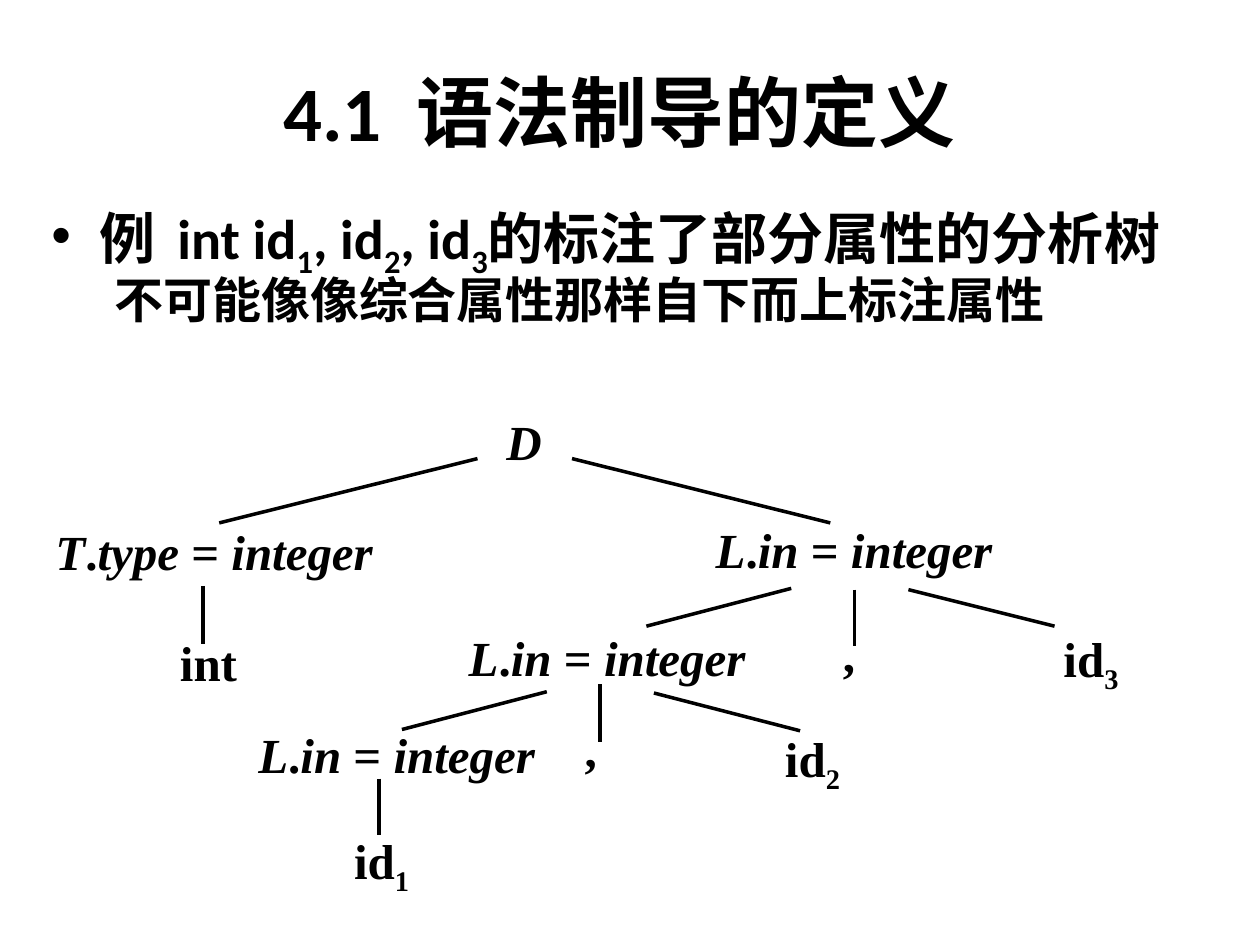
"""Build the slide with the annotated parse tree of int id1, id2, id3."""
from dataclasses import dataclass

from lxml.etree import SubElement
from pptx import Presentation
from pptx.dml.color import RGBColor
from pptx.enum.shapes import MSO_CONNECTOR
from pptx.enum.text import MSO_ANCHOR, PP_ALIGN
from pptx.oxml.ns import qn
from pptx.util import Inches, Pt

COLORS = {"ink": "000000"}
HEAD_FONT = "Calibri"
TREE_FONT = "Times New Roman"
TREE_INSETS = (0.02, 0.01)


@dataclass(frozen=True)
class Run:
    """A piece of text with its slant and position."""
    text: str
    italic: bool = False
    sub: bool = False


@dataclass(frozen=True)
class Node:
    """A labelled node of the parse tree."""
    runs: tuple[Run, ...]
    left: float
    top: float
    width: float
    height: float = 0.43
    align: PP_ALIGN = PP_ALIGN.JUSTIFY


@dataclass(frozen=True)
class Edge:
    """A straight branch between two points."""
    x1: float
    y1: float
    x2: float
    y2: float


def attribute(symbol: str, name: str) -> tuple[Run, ...]:
    """Return the runs of a symbol whose attribute is integer."""
    return (Run(symbol, italic=True), Run("."), Run(f"{name} ", italic=True),
            Run("= "), Run("integer", italic=True))


def identifier(index: int) -> tuple[Run, ...]:
    """Return the runs of an identifier with its subscript."""
    return Run("id"), Run(str(index), sub=True)


L_IN = attribute("L", "in")
COMMA = (Run(","),)

NODES = (
    Node((Run("D", italic=True),), 4, 3.26, 0.43),
    Node(attribute("T", "type"), 0.42, 4.13, 2.61),
    Node((Run("int"),), 0.98, 5.01, 1.35, align=PP_ALIGN.CENTER),
    Node(L_IN, 5.66, 4.11, 2.61),
    Node(L_IN, 3.7, 4.97, 2.61),
    Node(L_IN, 2.03, 5.74, 2.61),
    Node(COMMA, 6.67, 4.94, 0.43),
    Node(COMMA, 4.62, 5.69, 0.43),
    Node(identifier(3), 8.42, 4.98, 0.99),
    Node(identifier(2), 6.21, 5.77, 0.99),
    Node(identifier(1), 2.79, 6.58, 0.99),
)

EDGES = (
    Edge(3.79, 3.64, 1.74, 4.15),
    Edge(4.54, 3.64, 6.59, 4.15),
    Edge(1.61, 4.65, 1.61, 5.11),
    Edge(6.28, 4.67, 5.13, 4.97),
    Edge(6.78, 4.68, 6.78, 5.13),
    Edge(7.21, 4.68, 8.37, 4.97),
    Edge(4.34, 5.49, 3.19, 5.79),
    Edge(4.76, 5.43, 4.76, 5.89),
    Edge(5.19, 5.5, 6.35, 5.8),
    Edge(3.01, 6.18, 3.01, 6.63),
)


def add_run(p, text: str, *, size: float, font: str,
            italic: bool = False, sub: bool = False) -> None:
    """Append a bold run to a paragraph."""
    r = p.add_run()
    r.text = text
    r.font.size = Pt(size)
    r.font.name = font
    r.font.bold = True
    r.font.italic = italic
    r.font.color.rgb = RGBColor.from_string(COLORS["ink"])
    if sub:
        r._r.get_or_add_rPr().set("baseline", "-25000")


def fill_paragraph(p, runs: tuple[Run, ...], size: float, font: str) -> None:
    """Write all runs into a paragraph."""
    for run in runs:
        add_run(p, run.text, size=size, font=font,
                italic=run.italic, sub=run.sub)


def add_box(s, left: float, top: float, width: float, height: float,
            insets: tuple[float, float] = (0.1, 0.05)):
    """Add a wrapping text box and return its text frame."""
    sp = s.shapes.add_textbox(Inches(left), Inches(top),
                              Inches(width), Inches(height))
    tf = sp.text_frame
    tf.word_wrap = True
    tf.margin_left = tf.margin_right = Inches(insets[0])
    tf.margin_top = tf.margin_bottom = Inches(insets[1])
    return tf


def set_indent(p, left: float, first: float, bullet: str = "") -> None:
    """Give a paragraph a hanging indent and an optional bullet."""
    pPr = p._p.get_or_add_pPr()
    pPr.set("marL", str(Inches(left)))
    pPr.set("indent", str(Inches(first)))
    if bullet:
        SubElement(pPr, qn("a:buFont"), typeface="Arial")
        SubElement(pPr, qn("a:buChar"), char=bullet)


def add_title(s) -> None:
    """Add the centred slide title."""
    tf = add_box(s, 0.67, 0.25, 8.5, 1.25)
    tf.vertical_anchor = MSO_ANCHOR.MIDDLE
    p = tf.paragraphs[0]
    p.alignment = PP_ALIGN.CENTER
    add_run(p, "4.1  语法制导的定义", size=44, font=HEAD_FONT)


def add_body(s) -> None:
    """Add the bulleted example and the remark below it."""
    tf = add_box(s, 0.31, 1.57, 9.37, 5.51)
    p = tf.paragraphs[0]
    p.line_spacing = 0.9
    set_indent(p, 0.38, -0.38, "•")
    runs = (Run("例\tint "), *identifier(1), Run(", "), *identifier(2),
            Run(", "), *identifier(3), Run("的标注了部分属性的分析树"))
    fill_paragraph(p, runs, 32, HEAD_FONT)
    p = tf.add_paragraph()
    p.line_spacing = 0.9
    p.space_before = Pt(2)
    set_indent(p, 0.81, -0.31)
    add_run(p, "不可能像像综合属性那样自下而上标注属性", size=28, font=HEAD_FONT)


def add_node(s, node: Node) -> None:
    """Draw one tree node."""
    tf = add_box(s, node.left, node.top, node.width, node.height, TREE_INSETS)
    p = tf.paragraphs[0]
    p.alignment = node.align
    fill_paragraph(p, node.runs, 28, TREE_FONT)


def add_edge(s, edge: Edge) -> None:
    """Draw one tree branch."""
    line = s.shapes.add_connector(
        MSO_CONNECTOR.STRAIGHT, Inches(edge.x1), Inches(edge.y1),
        Inches(edge.x2), Inches(edge.y2))
    line.line.color.rgb = RGBColor.from_string(COLORS["ink"])
    line.line.width = Pt(2)
    SubElement(line._element.spPr, qn("a:effectLst"))


def main() -> None:
    """Build and save the presentation."""
    prs = Presentation()
    prs.slide_width, prs.slide_height = Inches(10), Inches(7.5)
    s = prs.slides.add_slide(prs.slide_layouts[6])
    add_title(s)
    add_body(s)
    for node in NODES:
        add_node(s, node)
    for edge in EDGES:
        add_edge(s, edge)
    prs.save("out.pptx")


if __name__ == "__main__":
    main()
